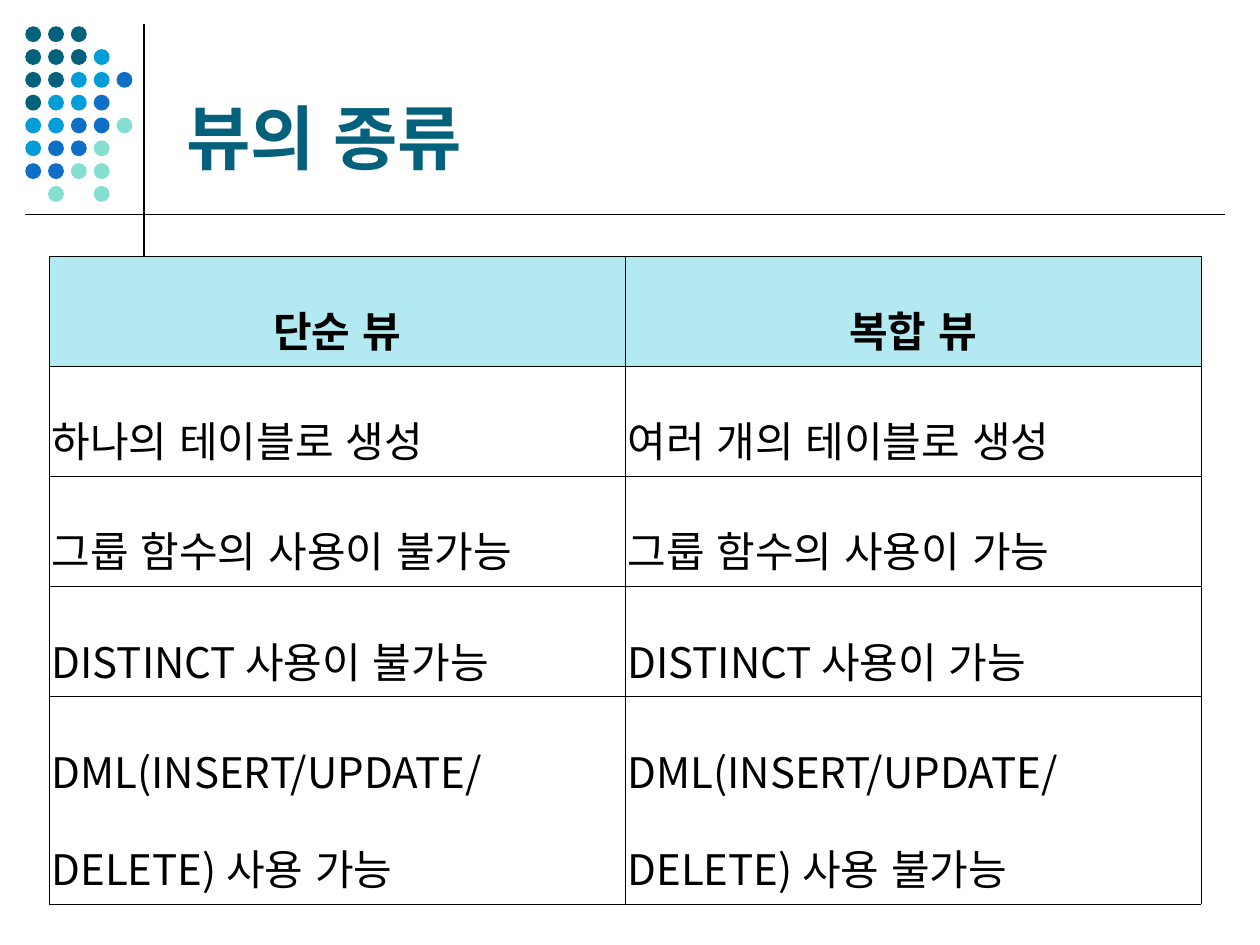
from lxml.etree import SubElement
from pptx import Presentation
from pptx.dml.color import RGBColor
from pptx.enum.lang import MSO_LANGUAGE_ID
from pptx.enum.shapes import MSO_CONNECTOR, MSO_SHAPE
from pptx.enum.text import MSO_ANCHOR, PP_ALIGN
from pptx.oxml.ns import qn
from pptx.util import Cm, Pt


def colour(value):
    return RGBColor.from_string(value)


class SlideBuilder:
    title_font = "Open Sans"
    body_font = "Noto Sans CJK KR"
    black = "000000"
    white = "FFFFFF"
    teal = "04617B"
    header_fill = "B3EAF2"
    dot_colours = {"T": teal, "C": "009DD9", "B": "0F6FC6", "G": "85DFD0"}

    def __init__(self, slide):
        self.slide = slide

    def run(self, paragraph, text, font_name, size, text_colour, bold=False):
        run = paragraph.add_run()
        run.text = text
        run.font.size = Pt(size)
        run.font.bold = bold
        run.font.language_id = MSO_LANGUAGE_ID.KOREAN
        run.font.color.rgb = colour(text_colour)
        run.font.name = font_name
        SubElement(run.font._element, qn("a:ea"), typeface=font_name)

    def line(self, start, end):
        points = [Cm(length) for length in (*start, *end)]
        connector = self.slide.shapes.add_connector(MSO_CONNECTOR.STRAIGHT, *points)
        connector.line.color.rgb = colour(self.black)
        connector.line.width = Pt(0.75)
        SubElement(connector._element.spPr, qn("a:effectLst"))

    def dots(self, left, top, step, size, pattern):
        group = self.slide.shapes.add_group_shape()
        for row, letters in enumerate(pattern):
            for column, letter in enumerate(letters):
                if letter not in self.dot_colours:
                    continue
                dot = group.shapes.add_shape(
                    MSO_SHAPE.OVAL, Cm(left + column * step), Cm(top + row * step),
                    Cm(size), Cm(size))
                dot.shadow.inherit = False
                dot.fill.solid()
                dot.fill.fore_color.rgb = colour(self.dot_colours[letter])
                dot.line.fill.background()

    def title(self, text, left, top, width, height):
        shape = self.slide.shapes.add_textbox(Cm(left), Cm(top), Cm(width), Cm(height))
        frame = shape.text_frame
        frame.word_wrap = True
        frame.vertical_anchor = MSO_ANCHOR.BOTTOM
        self.run(frame.paragraphs[0], text, self.title_font, 40, self.teal, True)

    def borders(self, cell):
        properties = cell._tc.get_or_add_tcPr()
        for index, side in enumerate(("a:lnL", "a:lnR", "a:lnT", "a:lnB")):
            border = properties.makeelement(qn(side), {"w": str(Pt(0.11))})
            fill = SubElement(border, qn("a:solidFill"))
            SubElement(fill, qn("a:srgbClr"), val=self.black)
            properties.insert(index, border)

    def cell(self, cell, text, header):
        cell.fill.solid()
        cell.fill.fore_color.rgb = colour(self.header_fill if header else self.white)
        cell.vertical_anchor = MSO_ANCHOR.MIDDLE
        cell.margin_left = cell.margin_right = Cm(0.05)
        cell.margin_top = cell.margin_bottom = Cm(0.13)
        paragraph = cell.text_frame.paragraphs[0]
        paragraph.alignment = PP_ALIGN.CENTER if header else PP_ALIGN.JUSTIFY
        paragraph.line_spacing = 1.6
        self.run(paragraph, text, self.body_font, 24, self.black, header)
        self.borders(cell)

    def table(self, rows, left, top, column_width, row_heights):
        columns = len(rows[0])
        table = self.slide.shapes.add_table(
            len(rows), columns, Cm(left), Cm(top),
            Cm(column_width * columns), Cm(sum(row_heights))).table
        table.horz_banding = False
        for column in table.columns:
            column.width = Cm(column_width)
        for row_index, texts in enumerate(rows):
            table.rows[row_index].height = Cm(row_heights[row_index])
            for column_index, text in enumerate(texts):
                self.cell(table.cell(row_index, column_index), text, row_index == 0)


def main():
    presentation = Presentation()
    presentation.slide_width = Cm(25.4)
    presentation.slide_height = Cm(19.05)
    builder = SlideBuilder(presentation.slides.add_slide(presentation.slide_layouts[6]))

    builder.line((2.9, 0.49), (2.9, 17.32))
    pattern = ["TTT", "TTTC", "TTCCB", "TCCB", "CCBBG", "CBBG", "BBGG", ".G.G"]
    builder.dots(0.51, 0.53, 0.46, 0.32, pattern)
    builder.line((0.5, 4.33), (24.7, 4.33))
    builder.title("뷰의 종류", 3.51, 0.53, 21.89, 3.2)

    rows = [
        ("단순 뷰", "복합 뷰"),
        ("하나의 테이블로 생성", "여러 개의 테이블로 생성"),
        ("그룹 함수의 사용이 불가능", "그룹 함수의 사용이 가능"),
        ("DISTINCT 사용이 불가능", "DISTINCT 사용이 가능"),
        ("DML(INSERT/UPDATE/DELETE) 사용 가능", "DML(INSERT/UPDATE/DELETE) 사용 불가능"),
    ]
    builder.table(rows, 0.99, 5.16, 11.61, [2.22] * 4 + [4.19])
    presentation.save("out.pptx")


if __name__ == "__main__":
    main()
